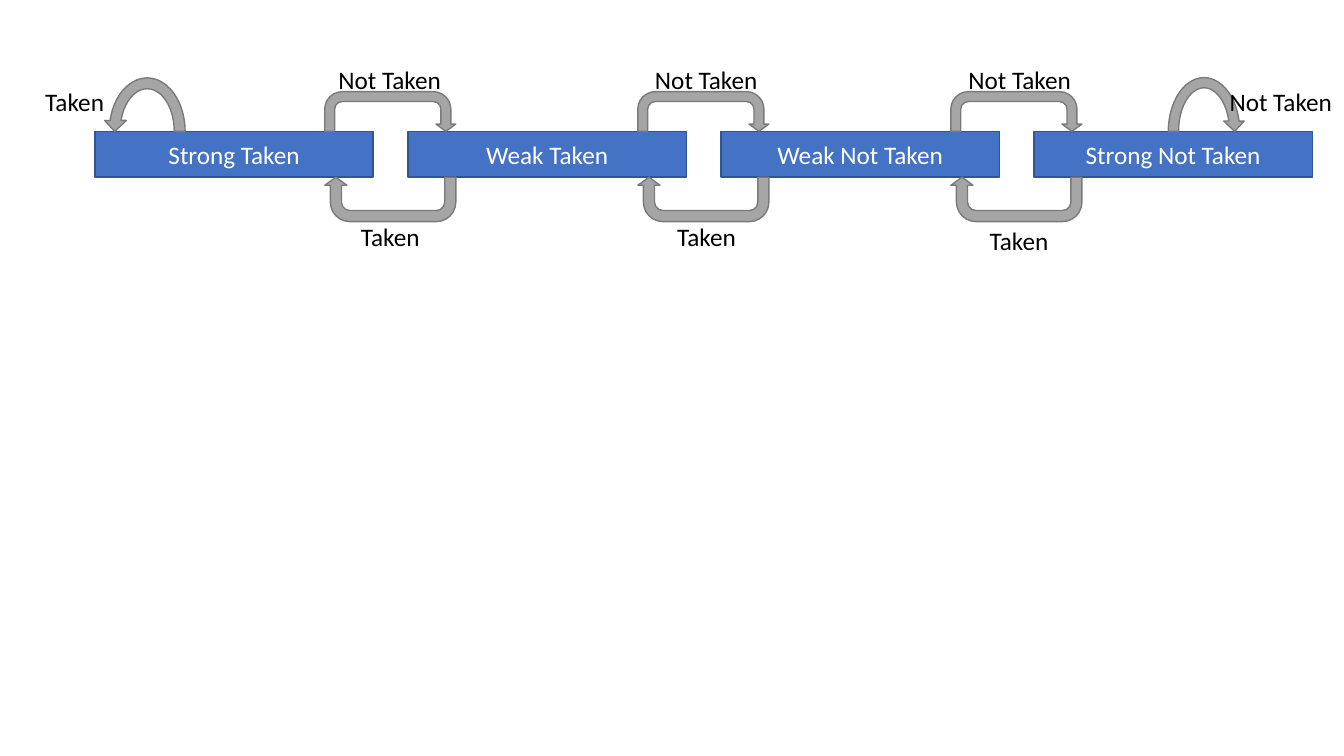
"""Draws the state machine of a two-bit branch predictor."""
from dataclasses import dataclass

import pptx
import pptx.dml.color
import pptx.enum.shapes
import pptx.enum.text
import pptx.util

Pt = pptx.util.Pt
PRESET = pptx.enum.shapes.MSO_SHAPE

COLORS = {
    "state": "4472C4",
    "state_line": "325491",
    "arrow": "A5A5A5",
    "arrow_line": "7A7A7A",
    "state_text": "FFFFFF",
    "label_text": "000000",
}
FONT, FONT_SIZE = "Calibri", 18
STATE_LEFT, STATE_TOP, STATE_WIDTH, STATE_HEIGHT = 67.8, 93.8, 198.8, 32.8
STATE_STEP = 223.6
TURN_LEFT, TURN_WIDTH = 232, 93.6
LABEL_HEIGHT = 28.8
LABEL_WIDTHS = {"Taken": 56.9, "Not Taken": 88.6}


@dataclass(frozen=True)
class Box:
    """Position and size in points."""
    left: float
    top: float
    width: float
    height: float


@dataclass(frozen=True)
class Label:
    """Branch outcome written beside a transition."""
    outcome: str
    left: float
    top: float


@dataclass(frozen=True)
class Loop:
    """Transition from a state to itself."""
    box: Box
    mirrored: bool


STATES = ["Strong Taken", "Weak Taken", "Weak Not Taken", "Strong Not Taken"]
LOOPS = [
    Loop(Box(74.2, 51.8, 61.9, 84.2), True),
    Loop(Box(830.9, 51.8, 58.3, 84.2), False),
]
LABELS = [
    Label("Not Taken", 234.7, 42.5),
    Label("Not Taken", 460.8, 42.5),
    Label("Not Taken", 684.7, 42.5),
    Label("Taken", 250.6, 154.8),
    Label("Taken", 476.6, 154.8),
    Label("Taken", 699.8, 157.7),
    Label("Taken", 25.2, 58.3),
    Label("Not Taken", 871.2, 58.3),
]


def rgb(name: str) -> pptx.dml.color.RGBColor:
    """Look up a named colour."""
    return pptx.dml.color.RGBColor.from_string(COLORS[name])


def add_figure(shapes, preset, box: Box, color: str):
    """Add a filled and outlined preset shape."""
    figure = shapes.add_shape(
        preset, Pt(box.left), Pt(box.top), Pt(box.width), Pt(box.height))
    figure.shadow.inherit = False
    figure.fill.solid()
    figure.fill.fore_color.rgb = rgb(color)
    figure.line.color.rgb = rgb(f"{color}_line")
    figure.line.width = Pt(1)
    return figure


def write(frame, text: str, color: str, align) -> None:
    """Write one formatted paragraph."""
    paragraph = frame.paragraphs[0]
    paragraph.text = text
    paragraph.alignment = align
    paragraph.font.name = FONT
    paragraph.font.size = Pt(FONT_SIZE)
    paragraph.font.color.rgb = rgb(color)


def add_state(shapes, index: int, name: str) -> None:
    """Add a predictor state at its place in the row."""
    box = Box(STATE_LEFT + index * STATE_STEP, STATE_TOP, STATE_WIDTH, STATE_HEIGHT)
    state = add_figure(shapes, PRESET.RECTANGLE, box, "state")
    state.text_frame.vertical_anchor = pptx.enum.text.MSO_ANCHOR.MIDDLE
    write(state.text_frame, name, "state_text", pptx.enum.text.PP_ALIGN.CENTER)


def add_turn(shapes, index: int, top: float, height: float, rotation: int) -> None:
    """Add a U-turn between a state and the next one."""
    box = Box(TURN_LEFT + index * STATE_STEP, top, TURN_WIDTH, height)
    turn = add_figure(shapes, PRESET.U_TURN_ARROW, box, "arrow")
    for position, value in enumerate((0.25, 0.25, 0.18, 0.44, 1)):
        turn.adjustments[position] = value
    turn.rotation = rotation


def add_loop(shapes, loop: Loop) -> None:
    """Add a circular arrow over an end state."""
    arrow = add_figure(shapes, PRESET.CIRCULAR_ARROW, loop.box, "arrow")
    if loop.mirrored:
        arrow.element.spPr.xfrm.set("flipH", "1")


def add_label(shapes, label: Label) -> None:
    """Add the outcome text of a transition."""
    text_box = shapes.add_textbox(
        Pt(label.left), Pt(label.top),
        Pt(LABEL_WIDTHS[label.outcome]), Pt(LABEL_HEIGHT))
    frame = text_box.text_frame
    frame.word_wrap = False
    frame.auto_size = pptx.enum.text.MSO_AUTO_SIZE.SHAPE_TO_FIT_TEXT
    write(frame, label.outcome, "label_text", pptx.enum.text.PP_ALIGN.LEFT)


def main() -> None:
    """Build and save the slide."""
    deck = pptx.Presentation()
    deck.slide_width, deck.slide_height = Pt(960), Pt(540)
    slide = deck.slides.add_slide(deck.slide_layouts[6])
    shapes = slide.shapes.add_group_shape().shapes
    for index, name in enumerate(STATES):
        add_state(shapes, index, name)
    for index in range(len(STATES) - 1):
        add_turn(shapes, index, 65.5, 28.3, 0)
        add_turn(shapes, index, STATE_TOP + STATE_HEIGHT, 31.7, 180)
    for loop in LOOPS:
        add_loop(shapes, loop)
    for label in LABELS:
        add_label(shapes, label)
    deck.save("out.pptx")


main()
